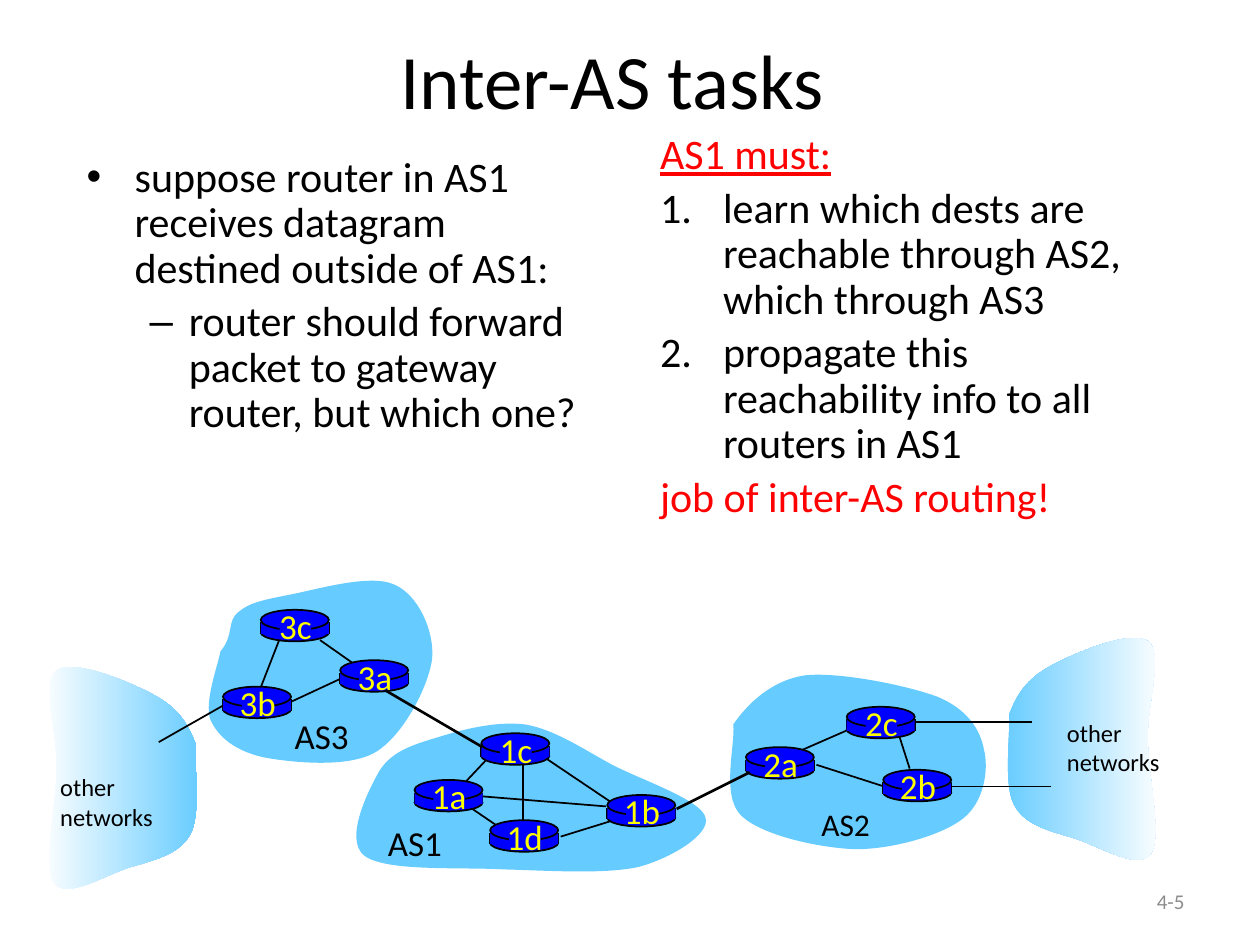
from lxml import etree
from pptx import Presentation
from pptx.dml.color import RGBColor
from pptx.enum.shapes import MSO_CONNECTOR, MSO_SHAPE
from pptx.enum.text import MSO_ANCHOR, PP_ALIGN
from pptx.oxml.ns import qn
from pptx.util import Inches, Pt

STRAIGHT = MSO_CONNECTOR.STRAIGHT
OVAL, RECT = MSO_SHAPE.OVAL, MSO_SHAPE.RECTANGLE
LEFT, CENTER, RIGHT = PP_ALIGN.LEFT, PP_ALIGN.CENTER, PP_ALIGN.RIGHT
TOP, MIDDLE = MSO_ANCHOR.TOP, MSO_ANCHOR.MIDDLE

COLORS = {"text": "000000", "accent": "FF0000", "muted": "8C8C8C", "cloud": "66CCFF",
          "fade": "FFFFFF", "router": "0000FF", "router_label": "FFFF00"}
FONT, BULLET_FONT = "Calibri", "Arial"

TITLE = "Inter-AS tasks"
PAGE_NUMBER = "4-5"
DASH, DOT, NUMBER = ("buChar", "char", "–"), ("buChar", "char", "•"), ("buAutoNum", "type", "arabicPeriod")
PROBLEM = [
    ("suppose router in AS1 receives datagram destined outside of AS1:", DOT, 0, 0.38, 0.38, "text"),
    ("router should forward packet to gateway router, but which one?", DASH, 1, 0.81, 0.31, "text"),
]
DUTIES = [
    ("AS1 must:", None, 0, 0.5, 0.5, "accent"),
    ("learn which dests are reachable through AS2, which through AS3", NUMBER, 0, 0.5, 0.5, "text"),
    ("propagate this reachability info to all routers in AS1", NUMBER, 0, 0.5, 0.5, "text"),
    ("job of inter-AS routing!", None, 0, 0.5, 0.5, "accent"),
]
UNDERLINED = "AS1 must:"

OTHER_RIGHT = [
    (8.01, 5.67), (8.07, 5.51), (8.15, 5.39), (8.33, 5.29), (8.51, 5.19), (8.98, 4.99), (9.11, 5.09),
    (9.24, 5.18), (9.1, 5.59), (9.11, 5.87), (9.11, 6.16), (9.23, 6.65), (9.13, 6.78),
    (9.04, 6.91), (8.73, 6.72), (8.55, 6.66), (8.36, 6.6), (8.14, 6.56), (8.05, 6.39),
    (7.96, 6.23), (8.02, 5.82), (8.01, 5.67)]
OTHER_LEFT = [(9.56 - x, y + 0.23) for x, y in OTHER_RIGHT]
AS_CLOUDS = {
    "AS2": [
        (5.82, 5.75), (5.93, 5.59), (6.12, 5.4), (6.39, 5.36), (6.66, 5.33), (7.2, 5.44), (7.44, 5.53),
        (7.68, 5.63), (7.78, 5.79), (7.81, 5.95), (7.85, 6.11), (7.81, 6.37), (7.64, 6.5),
        (7.47, 6.63), (7.09, 6.74), (6.79, 6.74), (6.5, 6.73), (6.04, 6.63), (5.88, 6.47),
        (5.72, 6.31), (5.84, 5.9), (5.82, 5.75)],
    "AS3": [
        (1.75, 5.17), (1.86, 5.04), (1.8, 4.93), (1.89, 4.86), (1.98, 4.78), (2.1, 4.76), (2.3, 4.72),
        (2.51, 4.68), (2.94, 4.55), (3.13, 4.64), (3.32, 4.72), (3.45, 5.01), (3.43, 5.23),
        (3.4, 5.45), (3.2, 5.84), (2.98, 5.97), (2.76, 6.1), (2.3, 6.05), (2.09, 6.01),
        (1.87, 5.96), (1.73, 5.85), (1.67, 5.71), (1.62, 5.57), (1.73, 5.28), (1.75, 5.17)],
    "AS1": [
        (3.01, 6.12), (3.11, 5.96), (3.28, 5.91), (3.48, 5.85), (3.67, 5.79), (3.94, 5.72), (4.17, 5.75),
        (4.4, 5.79), (4.62, 5.94), (4.86, 6.07), (5.09, 6.19), (5.57, 6.35), (5.6, 6.49),
        (5.64, 6.62), (5.33, 6.81), (5.07, 6.88), (4.8, 6.94), (4.36, 6.91), (4, 6.9),
        (3.64, 6.88), (3.06, 6.92), (2.89, 6.79), (2.73, 6.66), (2.92, 6.28), (3.01, 6.12)],
}
AS_LABELS = [("AS3", 2.24, 5.62, 0.77, 0.43, 20), ("AS2", 6.42, 6.34, 0.71, 0.4, 18),
             ("AS1", 2.98, 6.47, 0.64, 0.44, 20)]
OTHER_LABELS = [(8.37, 5.65), (0.38, 6.08)]
ROUTERS = {"3b": (1.77, 5.45), "3c": (2.07, 4.84), "3a": (2.7, 5.24), "1c": (3.82, 5.82),
           "1a": (3.29, 6.19), "1d": (3.89, 6.51), "1b": (4.82, 6.31), "2a": (5.92, 5.93),
           "2c": (6.72, 5.61), "2b": (7.01, 6.11)}
INNER_LINKS = [
    (2.31, 5.57, 2.74, 5.37, 1), (2.81, 5.27, 2.54, 5.08, 1), (2.22, 5.07, 2.06, 5.48, 1),
    (3.87, 6.02, 3.7, 6.2, 1), (4.15, 6.06, 4.15, 6.56, 1), (4.32, 6.01, 4.87, 6.38, 1),
    (4.87, 6.51, 4.45, 6.64, 1), (4.81, 6.4, 3.82, 6.32, 1), (3.72, 6.4, 3.94, 6.55, 1),
    (6.28, 5.99, 6.76, 5.78, 1), (6.48, 6.07, 7.01, 6.24, 1), (7.14, 5.85, 7.22, 6.1, 1),
    (7.26, 5.73, 8.19, 5.73, 0.75), (7.53, 6.24, 8.34, 6.24, 0.75)]
OUTER_LINKS = [(1.77, 5.6, 1.26, 5.89, 1), (5.37, 6.42, 5.95, 6.13, 1.5), (3.06, 5.48, 3.83, 5.93, 1.5)]


def color(name):
    return RGBColor.from_string(COLORS[name])


def style(paragraph, size, name, align=LEFT):
    paragraph.alignment = align
    paragraph.font.name = FONT
    paragraph.font.size = Pt(size)
    paragraph.font.color.rgb = color(name)


def add_text(shapes, lines, box, size, name="text", align=LEFT, anchor=TOP, wrap=False):
    frame = shapes.add_textbox(*map(Inches, box)).text_frame
    frame.word_wrap = wrap
    frame.vertical_anchor = anchor
    frame.text = "\n".join(lines)
    for paragraph in frame.paragraphs:
        style(paragraph, size, name, align)
    return frame


def add_list(shapes, items, box):
    frame = add_text(shapes, [item[0] for item in items], box, 24, wrap=True)
    for paragraph, (text, bullet, level, margin, hanging, name) in zip(frame.paragraphs, items):
        paragraph.level = level
        paragraph.line_spacing = 0.9
        paragraph.space_before = Pt(4.8)
        paragraph.font.color.rgb = color(name)
        if text == UNDERLINED:
            paragraph.font.underline = True
        properties = paragraph._p.get_or_add_pPr()
        properties.set("marL", str(Inches(margin)))
        properties.set("indent", str(-Inches(hanging)))
        if bullet:
            tag, key, value = bullet
            defaults = properties.find(qn("a:defRPr"))
            if tag == "buChar":
                defaults.addprevious(etree.Element(qn("a:buFont"), {"typeface": BULLET_FONT}))
            defaults.addprevious(etree.Element(qn("a:" + tag), {key: value}))


def add_link(shapes, x1, y1, x2, y2, width=1):
    link = shapes.add_connector(STRAIGHT, *map(Inches, (x1, y1, x2, y2)))
    link.line.color.rgb = color("text")
    link.line.width = Pt(width)
    etree.SubElement(link._element.spPr, qn("a:effectLst"))


def bend_segments(freeform):
    segments = list(freeform._element.iter(qn("a:lnTo")))
    for i in range(0, len(segments), 3):
        curve = etree.Element(qn("a:cubicBezTo"))
        segments[i].addprevious(curve)
        for segment in segments[i:i + 3]:
            curve.append(segment[0])
            segment.getparent().remove(segment)


def add_cloud(shapes, knots, fades=None):
    start, *rest = [tuple(map(Inches, knot)) for knot in knots]
    builder = shapes.build_freeform(*start)
    builder.add_line_segments(rest, close=True)
    cloud = builder.convert_to_shape()
    bend_segments(cloud)
    cloud.shadow.inherit = False
    cloud.line.fill.background()
    if fades:
        cloud.fill.gradient()
        cloud.fill.gradient_angle = 0
        for stop, position, name in zip(cloud.fill.gradient_stops, (0, 1), fades):
            stop.position = position
            stop.color.rgb = color(name)
    else:
        cloud.fill.solid()
        cloud.fill.fore_color.rgb = color("cloud")


def add_router_part(shapes, kind, *box):
    part = shapes.add_shape(kind, *map(Inches, box))
    part.shadow.inherit = False
    part.fill.solid()
    part.fill.fore_color.rgb = color("router")
    if kind == OVAL:
        part.line.color.rgb = color("text")
        part.line.width = Pt(1)
    else:
        part.line.fill.background()


def add_router(shapes, label, x, y):
    router = shapes.add_group_shape().shapes
    add_router_part(router, OVAL, x, y + 0.11, 0.54, 0.14)
    for side in (x, x + 0.54):
        add_link(router, side, y + 0.1, side, y + 0.19)
    add_router_part(router, RECT, x, y + 0.1, 0.54, 0.09)
    add_router_part(router, OVAL, x, y, 0.54, 0.16)
    add_router_part(router, RECT, x + 0.15, y + 0.02, 0.25, 0.21)
    add_text(router, [label], (x + 0.03, y - 0.09, 0.49, 0.44), 20, "router_label", CENTER)


def main():
    deck = Presentation()
    deck.slide_width, deck.slide_height = Inches(10), Inches(7.5)
    shapes = deck.slides.add_slide(deck.slide_layouts[6]).shapes

    add_text(shapes, [PAGE_NUMBER], (7.17, 6.95, 2.33, 0.4), 12, "muted", RIGHT, MIDDLE, True)
    add_text(shapes, [TITLE], (0.61, 0, 8.5, 1.25), 44, "text", CENTER, MIDDLE, True)
    add_list(shapes, PROBLEM, (0.59, 1.19, 4.17, 3.19))
    add_list(shapes, DUTIES, (5.14, 1.01, 4.17, 5.08))

    add_cloud(shapes, OTHER_RIGHT, ("cloud", "fade"))
    add_cloud(shapes, OTHER_LEFT, ("fade", "cloud"))
    for knots in AS_CLOUDS.values():
        add_cloud(shapes, knots)
    for label, *box, size in AS_LABELS:
        add_text(shapes, [label], box, size)
    for x, y in OTHER_LABELS:
        add_text(shapes, ["other", "networks"], (x, y, 1.03, 0.57), 14)

    for link in INNER_LINKS:
        add_link(shapes, *link)
    for label, (x, y) in ROUTERS.items():
        add_router(shapes, label, x, y)
    for link in OUTER_LINKS:
        add_link(shapes, *link)
    deck.save("out.pptx")


if __name__ == "__main__":
    main()
